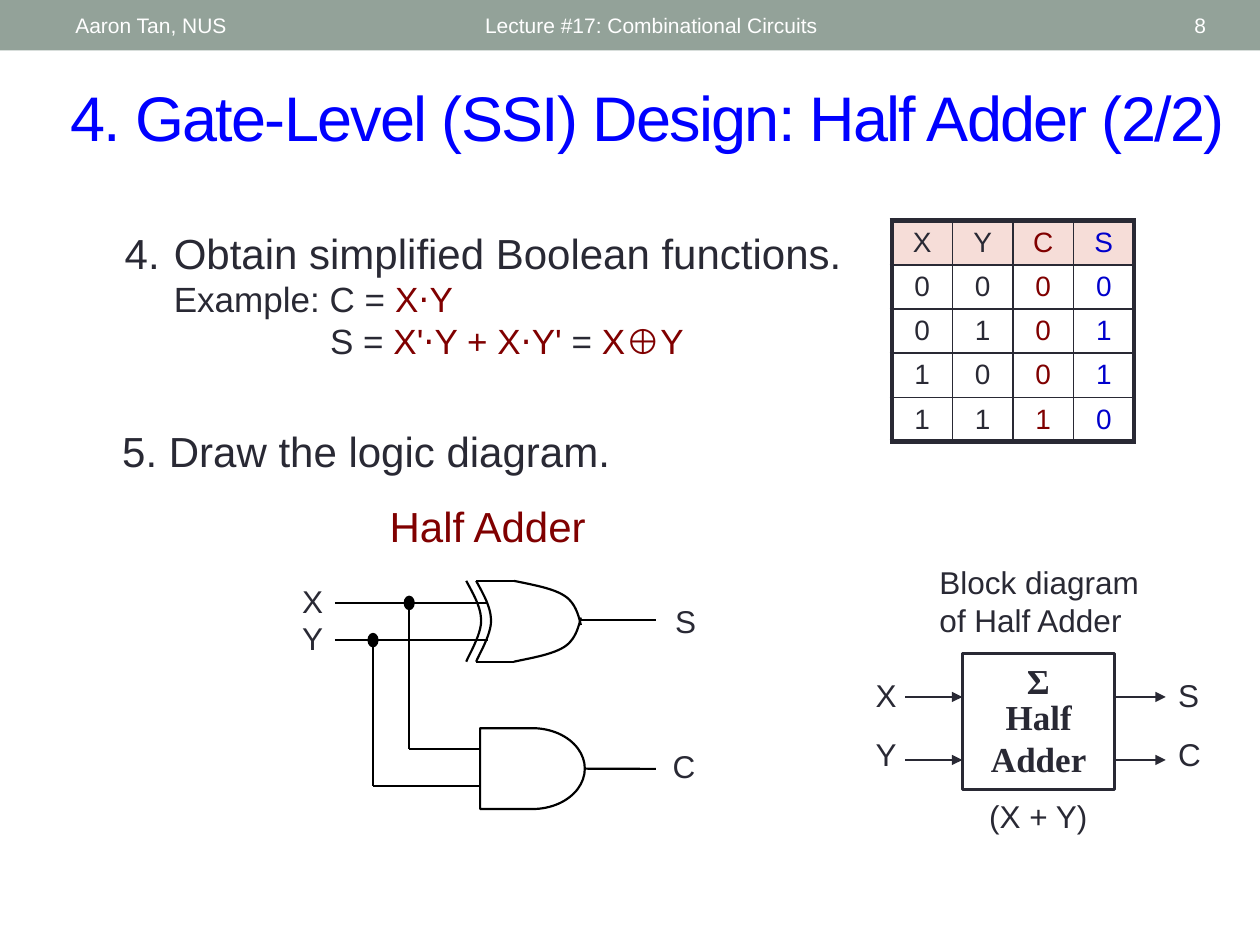
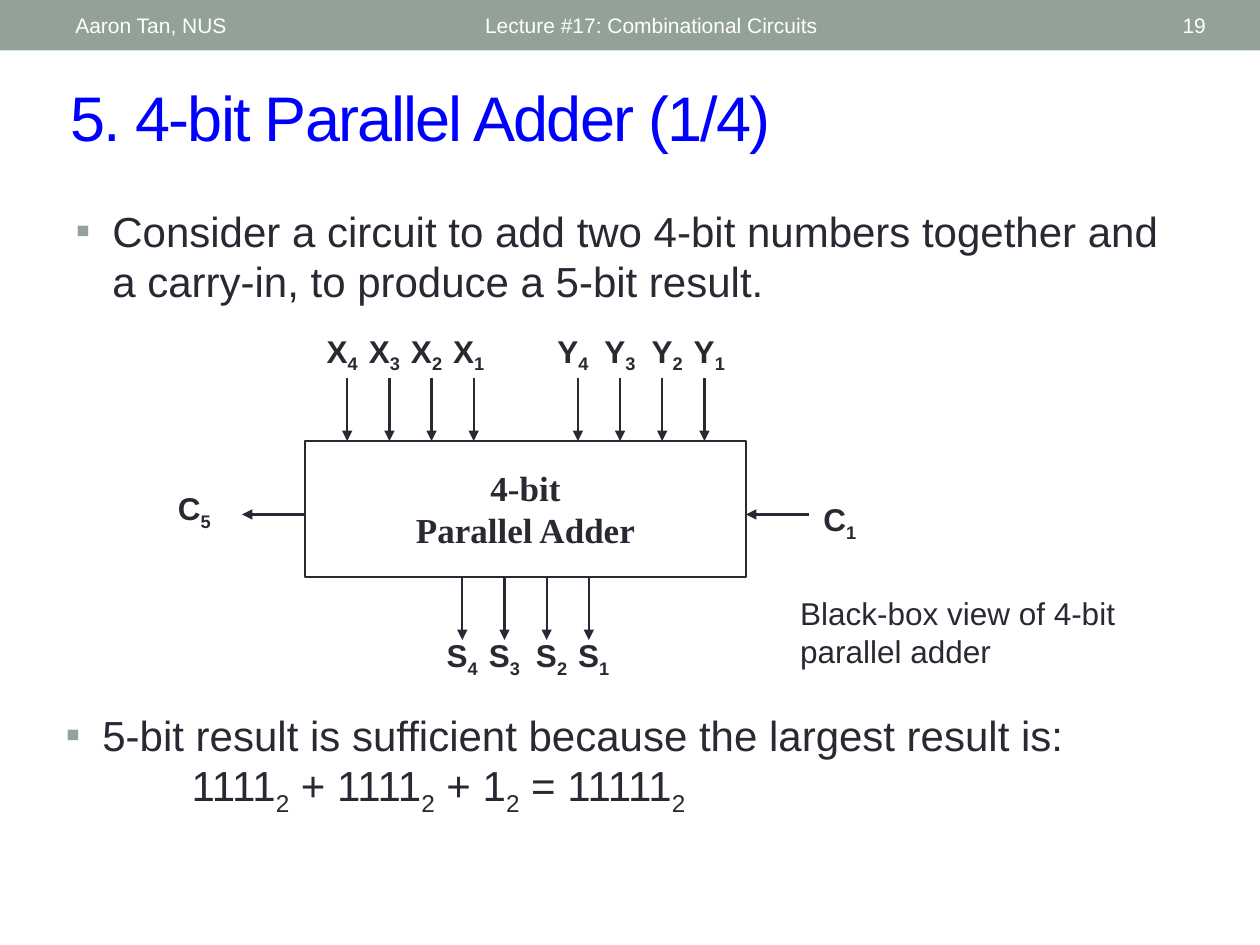
from lxml.etree import SubElement
from pptx import Presentation
from pptx.dml.color import RGBColor
from pptx.enum.shapes import MSO_CONNECTOR, MSO_SHAPE
from pptx.enum.text import MSO_ANCHOR as ANCHOR, MSO_AUTO_SIZE, PP_ALIGN as ALIGN
from pptx.oxml.ns import qn
from pptx.util import Cm, Pt

COLORS = {"band": "93A299", "title": "0000FF", "ink": "292934", "white": "FFFFFF",
          "black": "000000", "red": "800000", "blue": "0000CC", "header": "F6DDD8"}
SANS, SERIF = "Arial", "Times New Roman"
TWO_CONTENT = 3


def rgb(name):
    return RGBColor.from_string(COLORS[name])


# ---------- text ----------

def subscript(r):
    r._r.get_or_add_rPr().set("baseline", "-25000")


def redden(r):
    r.font.color.rgb = rgb("red")


def write(p, text, size, color="ink", font=SANS, bold=False, mark=subscript):
    """Write text into p; every second piece between bars gets the mark."""
    for i, piece in enumerate(text.split("|")):
        if not piece:
            continue
        r = p.add_run()
        r.text = piece
        r.font.size, r.font.name, r.font.bold = Pt(size), font, bold
        r.font.color.rgb = rgb(color)
        if i % 2:
            mark(r)


def write_lines(tf, text, size, align=ALIGN.LEFT, gap=0, **style):
    for i, line in enumerate(text.split("\n")):
        p = tf.add_paragraph() if i else tf.paragraphs[0]
        p.alignment = align
        p.space_after = Pt(gap)
        write(p, line, size, **style)


def add_text(shapes, text, x, y, w, h, size=18, anchor=ANCHOR.TOP, **style):
    tf = shapes.add_textbox(Cm(x), Cm(y), Cm(w), Cm(h)).text_frame
    tf.word_wrap = True
    tf.vertical_anchor = anchor
    write_lines(tf, text, size, **style)


def indent(p, left, first=0.0, bullet=False):
    p.space_before = Pt(0)
    pPr = p._p.get_or_add_pPr()
    pPr.set("marL", str(Cm(left)))
    pPr.set("indent", str(Cm(first)))
    if bullet:
        clr = SubElement(pPr, qn("a:buClr"))
        SubElement(clr, qn("a:srgbClr"), val=COLORS["band"])
        SubElement(pPr, qn("a:buChar"), char="▪")
    else:
        SubElement(pPr, qn("a:buNone"))


def place(ph, x, y, w, h):
    ph.left, ph.top, ph.width, ph.height = Cm(x), Cm(y), Cm(w), Cm(h)
    tf = ph.text_frame
    tf.auto_size = MSO_AUTO_SIZE.NONE
    tf.word_wrap = True
    return tf


def fill_body(ph, box, items):
    """Each item: text, size, left indent, first-line indent, bullet."""
    tf = place(ph, *box)
    for i, (text, size, left, first, bullet) in enumerate(items):
        p = tf.add_paragraph() if i else tf.paragraphs[0]
        indent(p, left, first, bullet)
        write(p, text, size, mark=subscript if "|2" in text else redden)


# ---------- shapes ----------

def add_line(shapes, x1, y1, x2, y2, color="black", arrow=False):
    c = shapes.add_connector(MSO_CONNECTOR.STRAIGHT, Cm(x1), Cm(y1), Cm(x2), Cm(y2))
    c.line.width = Pt(1.25)
    c.line.color.rgb = rgb(color)
    if arrow:
        SubElement(c.line._get_or_add_ln(), qn("a:tailEnd"), type="triangle")
    SubElement(c._element.spPr, qn("a:effectLst"))
    return c


def add_arrow(shapes, x1, y1, x2, y2):
    return add_line(shapes, x1, y1, x2, y2, "ink", arrow=True)


def style_shape(sp, fill=None, line="black", width=1.25):
    sp.shadow.inherit = False
    if fill:
        sp.fill.solid()
        sp.fill.fore_color.rgb = rgb(fill)
    else:
        sp.fill.background()
    if line:
        sp.line.width = Pt(width)
        sp.line.color.rgb = rgb(line)
    else:
        sp.line.fill.background()


def add_preset(shapes, kind, x, y, w, h, **style):
    sp = shapes.add_shape(kind, Cm(x), Cm(y), Cm(w), Cm(h))
    style_shape(sp, **style)
    return sp


def add_curve(shapes, x, y, points, steps=12):
    """Draw chained cubic Bezier curves, four points each, with the ends shared."""
    dots = []
    for k in range(0, len(points) - 1, 3):
        for t in (s / steps for s in range(steps + 1)):
            weights = ((1 - t) ** 3, 3 * t * (1 - t) ** 2, 3 * t * t * (1 - t), t ** 3)
            dots.append(tuple(sum(w * q[a] for w, q in zip(weights, points[k:k + 4]))
                              for a in (0, 1)))
    dots = [(Cm(x + px), Cm(y + py)) for px, py in dots]
    fb = shapes.build_freeform(*dots[0])
    fb.add_line_segments(dots[1:], close=False)
    style_shape(fb.convert_to_shape())


# ---------- shared slide frame ----------

def add_slide(prs, title, number):
    slide = prs.slides.add_slide(prs.slide_layouts[TWO_CONTENT])
    shapes = slide.shapes
    add_preset(shapes, MSO_SHAPE.RECTANGLE, 0, 0, 25.4, 1.02, fill="band", line=None)
    for text, x, w, align in (("Lecture #17: Combinational Circuits", 9.53, 11.43, ALIGN.LEFT),
                              (number, 22.15, 2.41, ALIGN.RIGHT),
                              ("Aaron Tan, NUS", 1.27, 8.05, ALIGN.LEFT)):
        add_text(shapes, text, x, 0.05, w, 0.91, 12, ANCHOR.MIDDLE, align=align, color="white")
    tf = place(shapes.title, 1.17, 1.45, 23.83, 1.78)
    tf.vertical_anchor = ANCHOR.MIDDLE
    write_lines(tf, title, 36, color="title")
    tf.paragraphs[0].runs[0]._r.get_or_add_rPr().set("spc", "-100")
    return slide


# ---------- half adder ----------

def set_border(cell, side, width):
    ln = SubElement(cell._tc.get_or_add_tcPr(), qn("a:" + side), w=str(Pt(width)))
    fill = SubElement(ln, qn("a:solidFill"))
    SubElement(fill, qn("a:srgbClr"), val=COLORS["ink"])


def add_truth_table(shapes, x, y, col_w=1.22, row_h=0.89):
    rows = ["XYCS", "0000", "0101", "1001", "1110"]
    colors = ["ink", "ink", "red", "blue"]
    n, m = len(rows), len(colors)
    table = shapes.add_table(n, m, Cm(x), Cm(y), Cm(m * col_w), Cm(n * row_h)).table
    table.first_row = table.horz_banding = False
    v_lines, h_lines = [3, 1, 1.5, 1, 3], [3, 1.5, 1, 1, 1, 3]
    for i, row in enumerate(rows):
        table.rows[i].height = Cm(row_h)
        for j, value in enumerate(row):
            table.columns[j].width = Cm(col_w)
            cell = table.cell(i, j)
            cell.margin_top = cell.margin_bottom = Cm(0.1)
            cell.vertical_anchor = ANCHOR.MIDDLE
            write_lines(cell.text_frame, value, 16, ALIGN.CENTER, color=colors[j])
            for side, width in (("lnL", v_lines[j]), ("lnR", v_lines[j + 1]),
                                ("lnT", h_lines[i]), ("lnB", h_lines[i + 1])):
                set_border(cell, side, width)
            if i:
                cell.fill.background()
            else:
                cell.fill.solid()
                cell.fill.fore_color.rgb = rgb("header")


def add_xor_gate(shapes, x, y, h):
    back = [(0, 0), (0.15, 0.28), (0.3, 0.53), (0.3, 0.81), (0.3, 1.09), (0.05, 1.5), (0, h)]
    nose = [(0.76, 0), (1.14, 0.08), (1.55, 0.15), (1.78, 0.3),
            (1.98, 0.43), (2.06, 0.66), (2.11, 0.89)]
    for shift in (0, -0.2):
        add_curve(shapes, x + shift, y, back)
    for edge in (0, h):
        add_line(shapes, x, y + edge, x + 0.76, y + edge)
        add_curve(shapes, x, y, [(px, abs(edge - py)) for px, py in nose])


def add_logic_diagram(slide, x, y):
    shapes = slide.shapes.add_group_shape().shapes
    gate_h, gate_x, out_x = 1.63, x + 3.84, x + 7.38
    and_gate = add_preset(shapes, MSO_SHAPE.FLOWCHART_DELAY, gate_x, y + 3.08, 2.11, gate_h)
    for wire_y, branch_x, and_y in ((y + 0.55, x + 2.41, y + 3.5), (y + 1.3, x + 1.68, y + 4.25)):
        add_line(shapes, x + 0.91, wire_y, x + 3.99, wire_y)
        add_line(shapes, branch_x, wire_y, branch_x, and_y)
        add_line(shapes, branch_x, and_y, gate_x, and_y)
        add_preset(shapes, MSO_SHAPE.OVAL, branch_x - 0.09, wire_y - 0.12, 0.18, 0.25, fill="black")
    add_xor_gate(shapes, x + 3.76, y + 0.11, gate_h)
    add_line(shapes, x + 5.87, y + 0.9, out_x, y + 0.9)
    add_line(shapes, x + 5.95, y + 3.9, out_x, y + 3.9).begin_connect(and_gate, 3)
    add_text(shapes, "X\nY", x, y, 1.02, 1.4)
    add_text(shapes, "S", x + 7.52, y + 0.41, 1.02, 0.9)
    add_text(shapes, "C", x + 7.47, y + 3.34, 1.02, 0.9)
    add_text(slide.shapes, "Half Adder", x + 1.55, y - 1.64, 4.88, 1.27, 24,
             align=ALIGN.CENTER, color="red")


def add_block_diagram(slide, x, y, w, h):
    shapes = slide.shapes.add_group_shape().shapes
    block = add_preset(shapes, MSO_SHAPE.RECTANGLE, x, y, w, h, fill="white", line="ink", width=1.5)
    block.text_frame.vertical_anchor = ANCHOR.TOP
    serif = dict(size=20, align=ALIGN.CENTER, font=SERIF, bold=True)
    write_lines(block.text_frame, "Σ", **serif)
    add_text(shapes, "Half\nAdder", x + 0.08, y + 0.71, 2.92, 1.96, **serif)
    for row_y in (y + 0.87, y + 2.14):
        add_arrow(shapes, x - 1.15, row_y, x, row_y)
        add_arrow(shapes, x + w, row_y, x + 4.1, row_y)
    for text, label_x in (("X\nY", x - 2), ("S\nC", x + 4.1)):
        add_text(shapes, text, label_x, y + 0.33, 1.07, 2.24, gap=12)
    add_text(shapes, "(X + Y)", x + 0.29, y + 2.77, 2.54, 1.02)
    add_text(shapes, "Block diagram of Half Adder", x - 0.71, y - 1.95, 4.88, 1.8)


def build_half_adder(prs):
    slide = add_slide(prs, "4. Gate-Level (SSI) Design: Half Adder (2/2)", "8")
    step_4, step_5 = list(slide.placeholders)[1:3]
    fill_body(step_4, (1.27, 4.45, 22.86, 3.61),
              [("4.\tObtain simplified Boolean functions.", 24, 1.98, -0.99, False),
               ("Example: C = |X⋅Y", 20, 1.98, 0, False),
               ("S = |X'⋅Y + X⋅Y'| = |X⊕Y", 20, 5.13, 0, False)])
    fill_body(step_5, (1.27, 8.46, 22.86, 1.91),
              [("5. Draw the logic diagram.", 24, 1.98, -1.04, False)])
    add_truth_table(slide.shapes, 17.98, 4.45)
    add_logic_diagram(slide, 5.84, 11.6)
    add_block_diagram(slide, 19.4, 13.18, 3.07, 2.74)


# ---------- parallel adder ----------

def add_bus(shapes, name, x, y, label_y, nudges, pitch=0.85):
    """Four numbered arrows pointing down; nudges shift the labels sideways."""
    for i, nudge in enumerate(nudges):
        wire_x = x + i * pitch
        add_arrow(shapes, wire_x, y, wire_x, y + 1.27)
        add_text(shapes, f"{name}|{4 - i}", wire_x + nudge - 0.74, label_y, 1.48, 1.02,
                 align=ALIGN.CENTER, bold=True)


def add_black_box(slide, x, y, w, h):
    shapes = slide.shapes.add_group_shape().shapes
    box = add_preset(shapes, MSO_SHAPE.RECTANGLE, x, y, w, h, line="ink", width=1.5)
    box.text_frame.vertical_anchor = ANCHOR.MIDDLE
    write_lines(box.text_frame, "4-bit\nParallel Adder", 20, ALIGN.CENTER, font=SERIF, bold=True)
    add_bus(shapes, "X", x + 0.85, y - 1.27, y - 2.33, (-0.1, -0.1, -0.1, -0.1))
    add_bus(shapes, "Y", x + 5.5, y - 1.27, y - 2.33, (-0.1, 0, 0.1, 0.1))
    add_bus(shapes, "S", x + 3.17, y + h, y + 3.81, (0, 0, 0.1, 0.1))
    carry_y = y + 1.48
    add_arrow(shapes, x, carry_y, x - 1.27, carry_y)
    add_arrow(shapes, x + w + 1.27, carry_y, x + w, carry_y)
    add_text(shapes, "C|5", x - 3.4, y + 0.84, 2.34, 1.02, align=ALIGN.CENTER, bold=True)
    add_text(shapes, "C|1", x + 9.93, y + 1.07, 1.7, 1.02, align=ALIGN.CENTER, bold=True)
    add_text(shapes, "Black-box view of 4-bit parallel adder", x + 9.73, y + 2.97, 6.99, 1.78)


def build_parallel_adder(prs):
    slide = add_slide(prs, "5. 4-bit Parallel Adder (1/4)", "19")
    intro, result = list(slide.placeholders)[1:3]
    fill_body(intro, (1.27, 4.01, 22.86, 2.54),
              [("Consider a circuit to add two 4-bit numbers together and a carry-in, "
                "to produce a 5-bit result.", 24, 0.74, -0.74, True)])
    fill_body(result, (1.07, 14.17, 22.86, 2.54),
              [("5-bit result is sufficient because the largest result is:", 24, 0.74, -0.74, True),
               ("1111|2| + 1111|2| + 1|2| = 11111|2", 24, 2.54, 0, False)])
    add_black_box(slide, 6.15, 8.89, 8.89, 2.74)


def main():
    prs = Presentation()
    prs.slide_width, prs.slide_height = Cm(25.4), Cm(19.05)
    build_half_adder(prs)
    build_parallel_adder(prs)
    prs.save("out.pptx")


if __name__ == "__main__":
    main()
